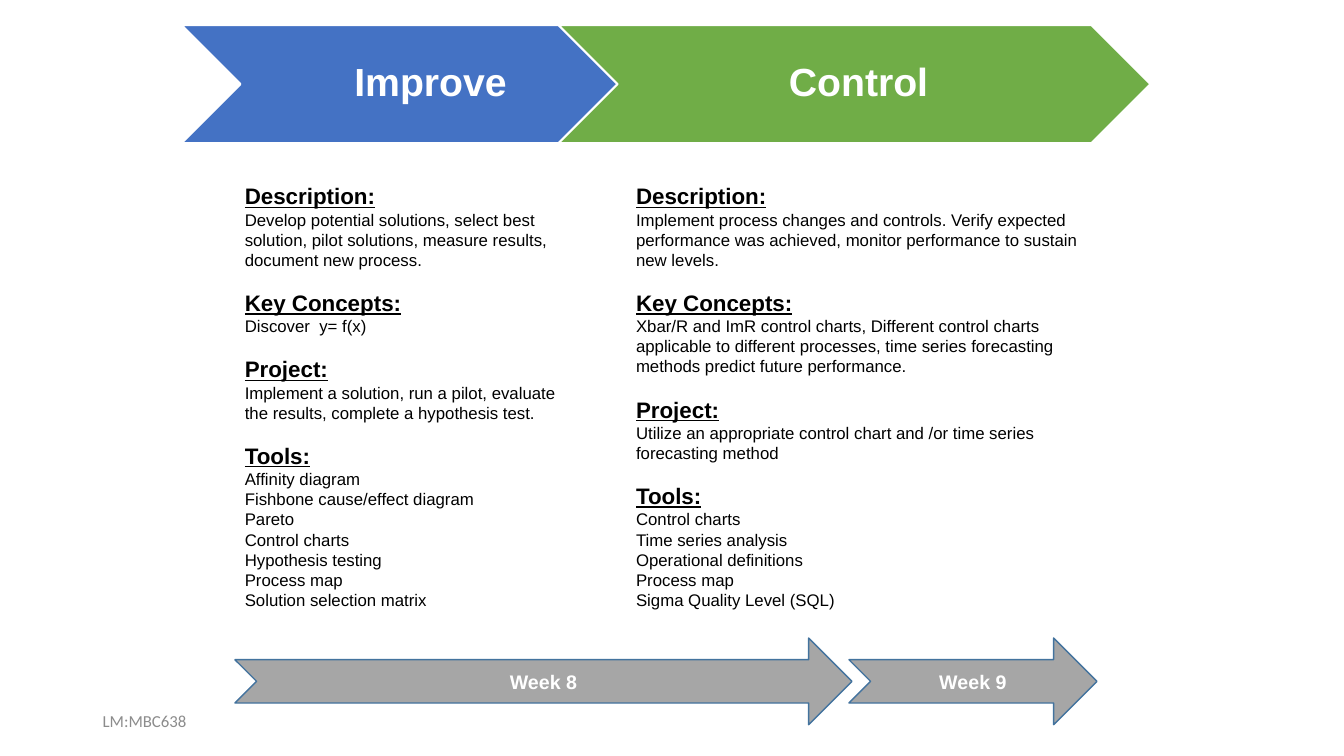
from pptx import Presentation
from pptx.dml.color import RGBColor
from pptx.enum import shapes, text
from pptx.util import Inches, Pt

# Content
PHASES = [
    {
        "name": "Improve", "color": "blue", "chevron": (1.8, 4.86), "column": (2.33, 3.33, 4.61),
        "sections": [
            ("Description:", ["Develop potential solutions, select best solution, pilot solutions, "
                              "measure results, document new process."]),
            ("Key Concepts:", ["Discover  y= f(x)"]),
            ("Project:", ["Implement a solution, run a pilot, evaluate the results, "
                          "complete a hypothesis test."]),
            ("Tools:", ["Affinity diagram", "Fishbone cause/effect diagram", "Pareto", "Control charts",
                        "Hypothesis testing", "Process map", "Solution selection matrix"]),
        ],
    },
    {
        "name": "Control", "color": "green", "chevron": (5.54, 5.87), "column": (6.21, 4.72, 4.41),
        "sections": [
            ("Description:", ["Implement process changes and controls. Verify expected performance "
                              "was achieved, monitor performance to sustain new levels."]),
            ("Key Concepts:", ["Xbar/R and ImR control charts, Different control charts applicable to "
                               "different processes, time series forecasting methods predict future "
                               "performance."]),
            ("Project:", ["Utilize an appropriate control chart and /or time series forecasting method"]),
            ("Tools:", ["Control charts", "Time series analysis", "Operational definitions",
                        "Process map", "Sigma Quality Level (SQL)"]),
        ],
    },
]
WEEKS = [("Week 9", 8.42, 2.46), ("Week 8", 2.33, 6.12)]
FOOTER = "LM:MBC638"

COLORS = {"blue": "4472C4", "green": "70AD47", "gray": "A6A6A6", "edge": "43739E",
          "white": "FFFFFF", "black": "000000", "footer": "8C8C8C"}
CHEVRON_TOP, CHEVRON_HEIGHT = 0.25, 1.17
COLUMN_TOP = 1.76
WEEK_TOP, WEEK_HEIGHT = 6.33, 0.86
SECTION_GAP = 13.8  # points, one line of body text


def rgb(name):
    return RGBColor.from_string(COLORS[name])


def write(frame, words, size, color="black", bold=False, underline=False, font="Arial",
          align=text.PP_ALIGN.LEFT, before=0, spacing=None):
    """Fill the frame's first paragraph, or add one after existing text."""
    paragraph = frame.add_paragraph() if frame.text else frame.paragraphs[0]
    paragraph.alignment = align
    paragraph.space_before = Pt(before)
    if spacing:
        paragraph.line_spacing = spacing
    run = paragraph.add_run()
    run.text = words
    run.font.name, run.font.size = font, Pt(size)
    run.font.bold, run.font.underline = bold, underline
    run.font.color.rgb = rgb(color)


def add_arrow(kind, box, fill, edge, edge_width):
    arrow = slide.shapes.add_shape(kind, *map(Inches, box))
    arrow.shadow.inherit = False
    arrow.fill.solid()
    arrow.fill.fore_color.rgb = rgb(fill)
    arrow.line.color.rgb = rgb(edge)
    arrow.line.width = Pt(edge_width)
    arrow.text_frame.word_wrap = True
    arrow.text_frame.vertical_anchor = text.MSO_ANCHOR.MIDDLE
    return arrow.text_frame


def add_textbox(*box):
    frame = slide.shapes.add_textbox(*map(Inches, box)).text_frame
    frame.word_wrap = True
    return frame


deck = Presentation()
deck.slide_width, deck.slide_height = Inches(13.33), Inches(7.5)
slide = deck.slides.add_slide(deck.slide_layouts[6])

# Phase chevrons
for phase in PHASES:
    left, width = phase["chevron"]
    banner = add_arrow(shapes.MSO_SHAPE.CHEVRON, (left, CHEVRON_TOP, width, CHEVRON_HEIGHT),
                       phase["color"], "white", 1.5)
    banner.margin_left = Inches(0.12)
    banner.margin_right = banner.margin_top = banner.margin_bottom = Inches(0.04)
    write(banner, phase["name"], 28, "white", bold=True, align=text.PP_ALIGN.CENTER, spacing=0.9)

# Phase details
for phase in PHASES:
    left, width, height = phase["column"]
    column = add_textbox(left, COLUMN_TOP, width, height)
    column.auto_size = text.MSO_AUTO_SIZE.SHAPE_TO_FIT_TEXT
    for index, (heading, lines) in enumerate(phase["sections"]):
        write(column, heading, 16, bold=True, underline=True, before=SECTION_GAP if index else 0)
        for line in lines:
            write(column, line, 12)

# Week timeline
for week, left, width in WEEKS:
    arrow_text = add_arrow(shapes.MSO_SHAPE.NOTCHED_RIGHT_ARROW, (left, WEEK_TOP, width, WEEK_HEIGHT),
                           "gray", "edge", 1)
    write(arrow_text, week, 14, "white", bold=True, align=text.PP_ALIGN.CENTER)

# Footer
footer = add_textbox(0.92, 6.95, 3, 0.4)
footer.vertical_anchor = text.MSO_ANCHOR.MIDDLE
write(footer, FOOTER, 12, "footer", font="Calibri")

deck.save("out.pptx")
